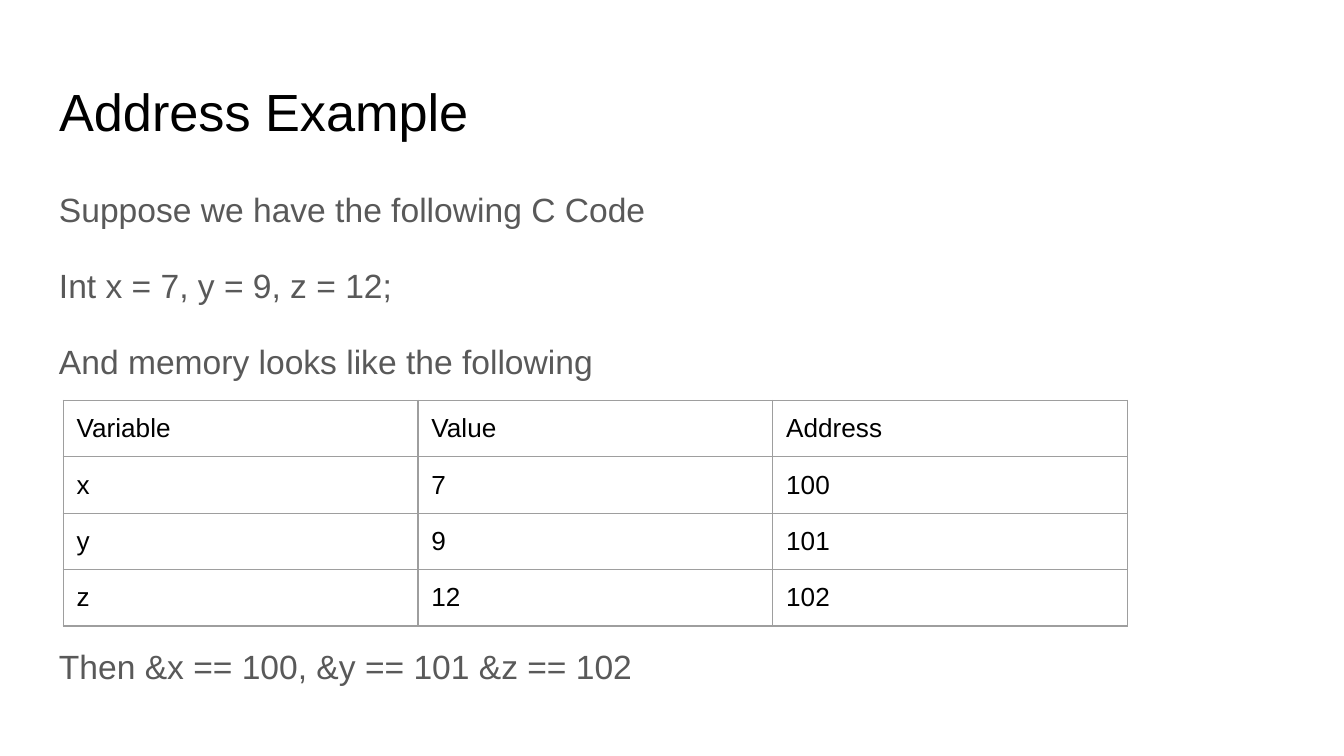
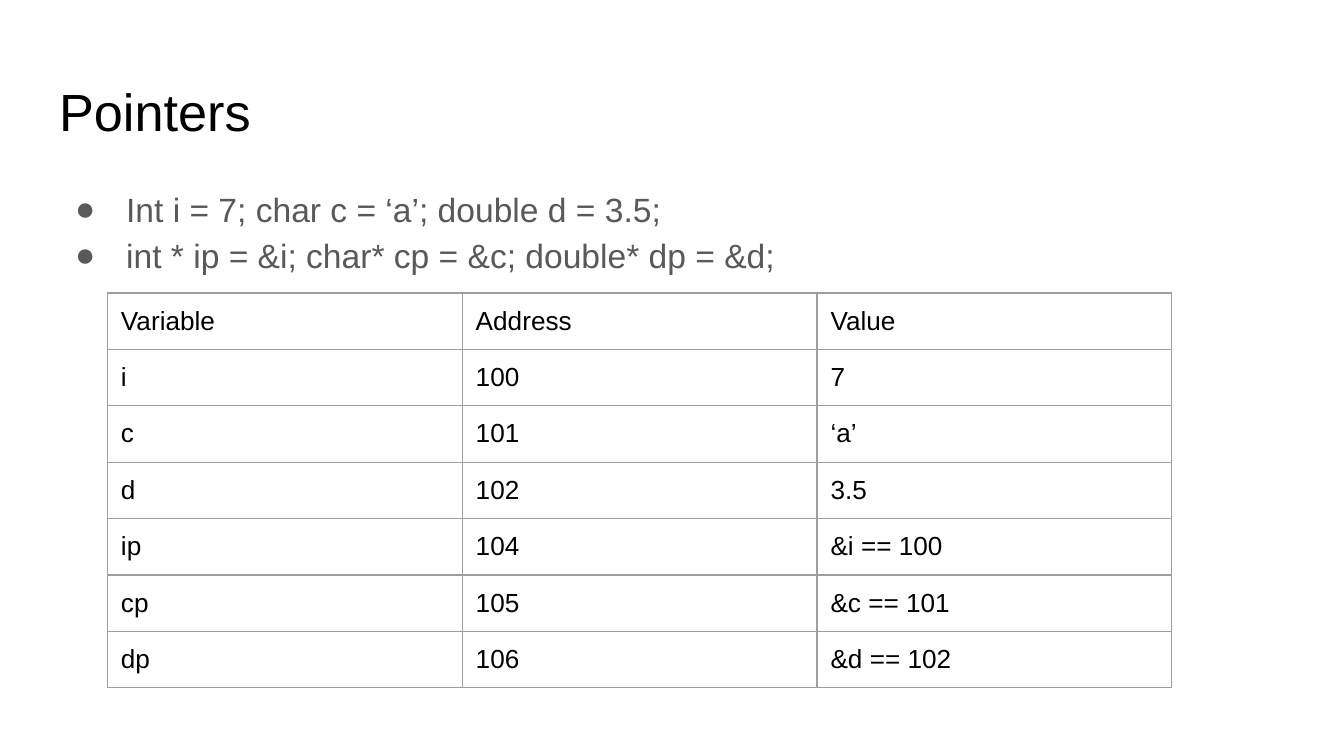
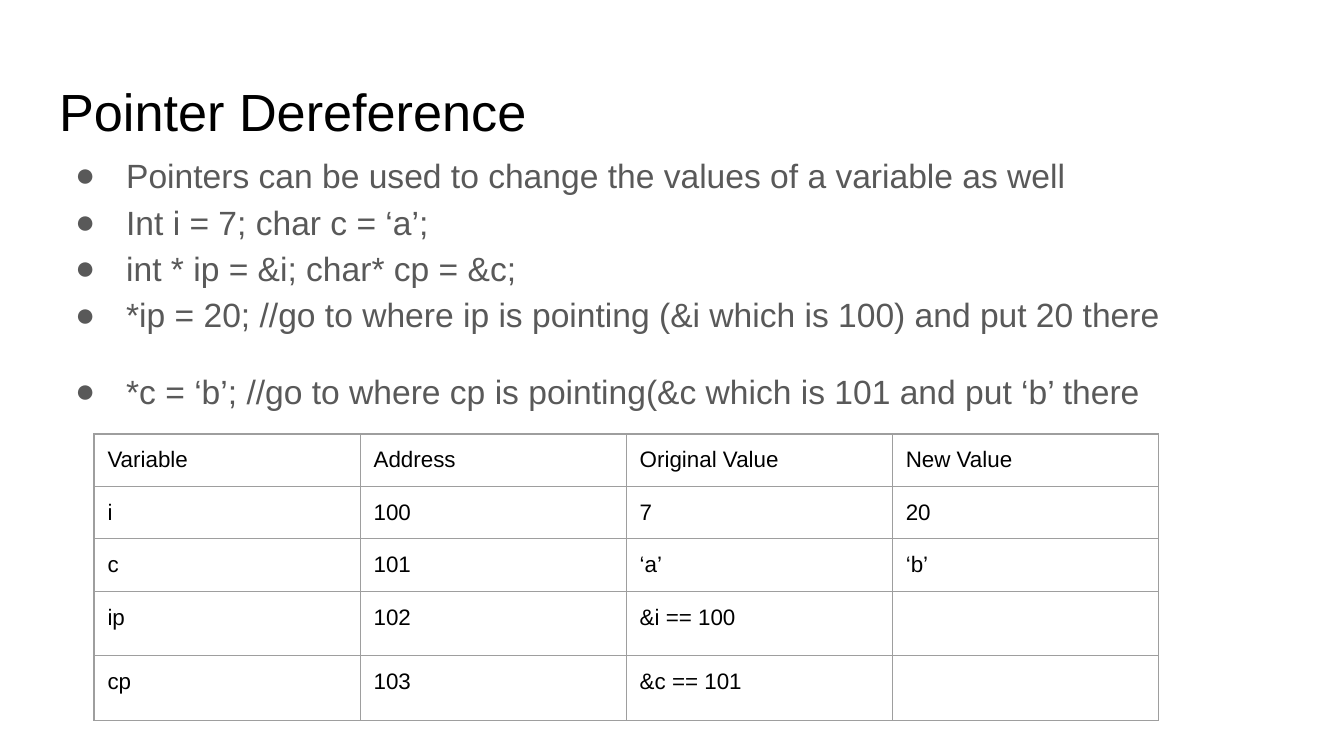
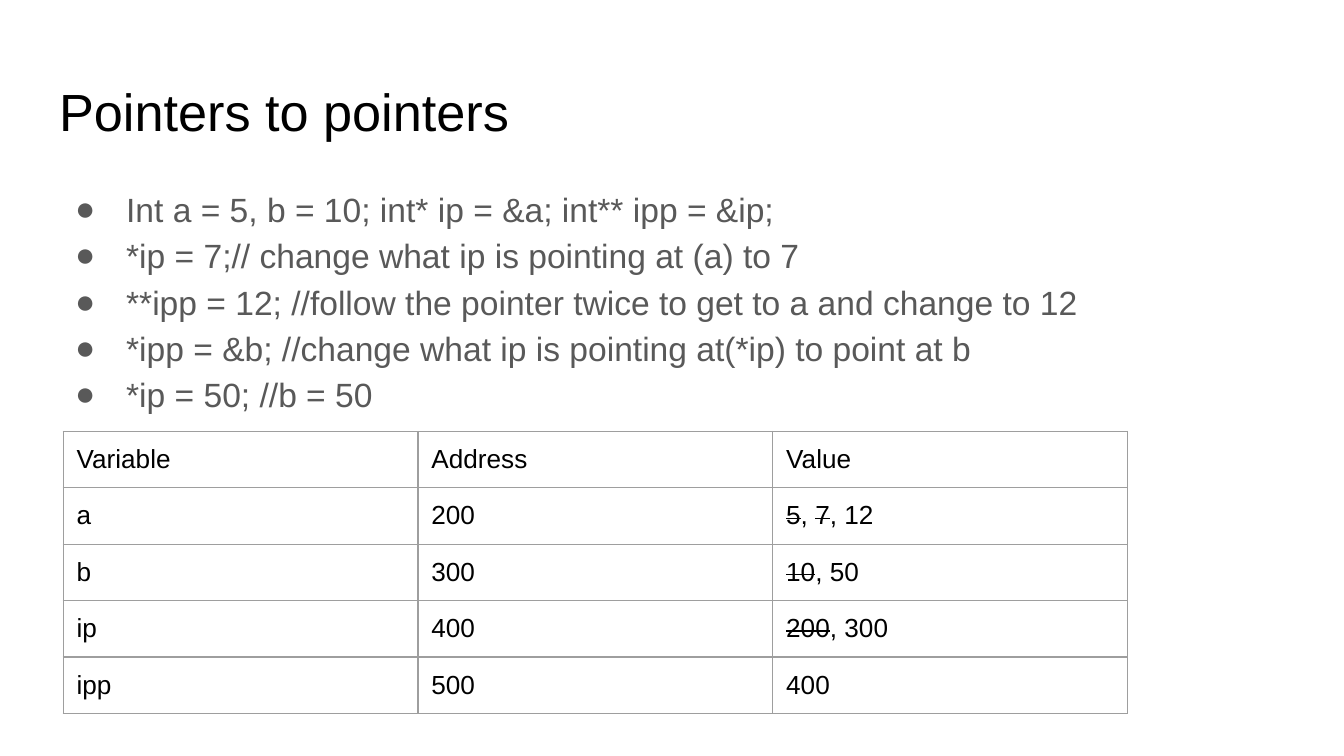
from dataclasses import dataclass

from lxml.etree import SubElement
from pptx import Presentation
from pptx.dml.color import RGBColor
from pptx.enum.text import MSO_ANCHOR, MSO_AUTO_SIZE, PP_ALIGN
from pptx.oxml import parse_xml
from pptx.oxml.ns import nsdecls, qn
from pptx.util import Inches, Pt


@dataclass(frozen=True)
class Theme:
    font: str = "Arial"
    ink: str = "000000"
    body: str = "595959"
    rule: str = "9E9E9E"
    title_pt: int = 28
    body_pt: int = 18
    rule_pt: float = 0.75
    leading: float = 1.15
    gap_pt: int = 16
    inset: float = 0.1


T = Theme()
SLIDE_W = 10
SLIDE_H = SLIDE_W * 9 / 16
LEFT, TEXT_W = 0.34, 9.32
TITLE_BOX = (LEFT, 0.49, TEXT_W, 0.63)
TABLE_W = 7.92
ROW_H = {14: 0.42, 12: 0.39}
TABLE_GAP_PT = 138.5

SLIDES = [
    {
        "title": "Address Example",
        "bullets": False,
        "body": [
            ("Suppose we have the following C Code", 0),
            ("Int x = 7, y = 9, z = 12;", T.gap_pt),
            ("And memory looks like the following", T.gap_pt),
            ("Then &x == 100, &y == 101 &z == 102", TABLE_GAP_PT),
        ],
        "table_at": (0.47, 2.98),
        "rows": [
            ("Variable", "Value", "Address"),
            ("x", "7", "100"),
            ("y", "9", "101"),
            ("z", "12", "102"),
        ],
    },
    {
        "title": "Pointers",
        "body": [
            ("Int i = 7; char c = ‘a’; double d = 3.5;", 0),
            ("int * ip = &i; char* cp = &c; double* dp = &d;", 0),
        ],
        "table_at": (0.8, 2.18),
        "rows": [
            ("Variable", "Address", "Value"),
            ("i", "100", "7"),
            ("c", "101", "‘a’"),
            ("d", "102", "3.5"),
            ("ip", "104", "&i == 100"),
            ("cp", "105", "&c == 101"),
            ("dp", "106", "&d == 102"),
        ],
    },
    {
        "title": "Pointer Dereference",
        "body_span": (1.01, 4.51),
        "body": [
            ("Pointers can be used to change the values of a variable as well", 0),
            ("Int i = 7; char c = ‘a’;", 0),
            ("int * ip = &i; char* cp = &c;", 0),
            ("*ip = 20; //go to where ip is pointing (&i which is 100) and put 20 there", 0),
            ("*c = ‘b’; //go to where cp is pointing(&c which is 101 and put ‘b’ there", T.gap_pt),
        ],
        "table_at": (0.7, 3.23),
        "table_pt": 12,
        "tall_rows": {3: 0.48, 4: 0.48},
        "rows": [
            ("Variable", "Address", "Original Value", "New Value"),
            ("i", "100", "7", "20"),
            ("c", "101", "‘a’", "‘b’"),
            ("ip", "102", "&i == 100", ""),
            ("cp", "103", "&c == 101", ""),
        ],
    },
    {
        "title": "Pointers to pointers",
        "body": [
            ("Int a = 5, b = 10; int* ip = &a; int** ipp = &ip;", 0),
            ("*ip = 7;// change what ip is pointing at (a) to 7", 0),
            ("**ipp = 12; //follow the pointer twice to get to a and change to 12", 0),
            ("*ipp = &b; //change what ip is pointing at(*ip) to point at b", 0),
            ("*ip = 50; //b = 50", 0),
        ],
        "table_at": (0.47, 3.21),
        "rows": [
            ("Variable", "Address", "Value"),
            ("a", "200", "~5~, ~7~, 12"),
            ("b", "300", "~10~, 50"),
            ("ip", "400", "~200~, 300"),
            ("ipp", "500", "400"),
        ],
    },
]


def write(p, text, size, color=T.ink, leading=None, before=0, bullet=False):
    p.alignment = PP_ALIGN.LEFT
    p.space_before = Pt(before)
    if leading:
        p.line_spacing = leading
    if bullet:
        pPr = p._p.get_or_add_pPr()
        pPr.set("marL", str(Inches(0.5)))
        pPr.set("indent", str(Inches(-0.38)))
        SubElement(SubElement(pPr, qn("a:buClr")), qn("a:srgbClr")).set("val", color)
        SubElement(pPr, qn("a:buFont")).set("typeface", T.font)
        SubElement(pPr, qn("a:buChar")).set("char", "●")
    for i, part in enumerate(text.split("~")):
        if not part:
            continue
        r = p.add_run()
        r.text = part
        r.font.name = T.font
        r.font.size = Pt(size)
        r.font.color.rgb = RGBColor.from_string(color)
        if i % 2:
            r._r.get_or_add_rPr().set("strike", "sngStrike")


def set_insets(box):
    box.margin_left = box.margin_right = Inches(T.inset)
    box.margin_top = box.margin_bottom = Inches(T.inset)
    box.vertical_anchor = MSO_ANCHOR.TOP


def prepare(sp):
    tf = sp.text_frame
    tf.word_wrap = True
    tf.auto_size = MSO_AUTO_SIZE.NONE
    set_insets(tf)
    return tf


def add_title(s, text):
    sp = s.shapes.title
    sp.left, sp.top, sp.width, sp.height = map(Inches, TITLE_BOX)
    write(prepare(sp).paragraphs[0], text, T.title_pt)


def add_body(s, lines, bullets, top, height):
    tf = prepare(s.shapes.add_textbox(*map(Inches, (LEFT, top, TEXT_W, height))))
    for i, (text, before) in enumerate(lines):
        p = tf.add_paragraph() if i else tf.paragraphs[0]
        write(p, text, T.body_pt, T.body, T.leading, before, bullets)


def set_borders(cell):
    tcPr = cell._tc.get_or_add_tcPr()
    for i, side in enumerate(("lnL", "lnR", "lnT", "lnB")):
        tcPr.insert(i, parse_xml(
            f'<a:{side} {nsdecls("a")} w="{Pt(T.rule_pt)}"><a:solidFill>'
            f'<a:srgbClr val="{T.rule}"/></a:solidFill></a:{side}>'))


def add_grid(s, rows, at, size, tall_rows):
    heights = [tall_rows.get(i, ROW_H[size]) for i in range(len(rows))]
    n_cols = len(rows[0])
    table = s.shapes.add_table(len(rows), n_cols,
                               *map(Inches, (*at, TABLE_W, sum(heights)))).table
    table.first_row = table.horz_banding = False
    for col in table.columns:
        col.width = Inches(TABLE_W / n_cols)
    for row, height, texts in zip(table.rows, heights, rows):
        row.height = Inches(height)
        for cell, text in zip(row.cells, texts):
            set_insets(cell)
            cell.fill.background()
            set_borders(cell)
            p = cell.text_frame.paragraphs[0]
            write(p, text, size)
            if not text:
                SubElement(p._p, qn("a:endParaRPr")).set("sz", str(size * 100))


def main():
    prs = Presentation()
    prs.slide_width, prs.slide_height = Inches(SLIDE_W), Inches(SLIDE_H)
    for d in SLIDES:
        s = prs.slides.add_slide(prs.slide_layouts.get_by_name("Title Only"))
        add_title(s, d["title"])
        add_body(s, d["body"], d.get("bullets", True), *d.get("body_span", (1.26, 3.74)))
        add_grid(s, d["rows"], d["table_at"], d.get("table_pt", 14), d.get("tall_rows", {}))
    prs.save("out.pptx")


if __name__ == "__main__":
    main()
